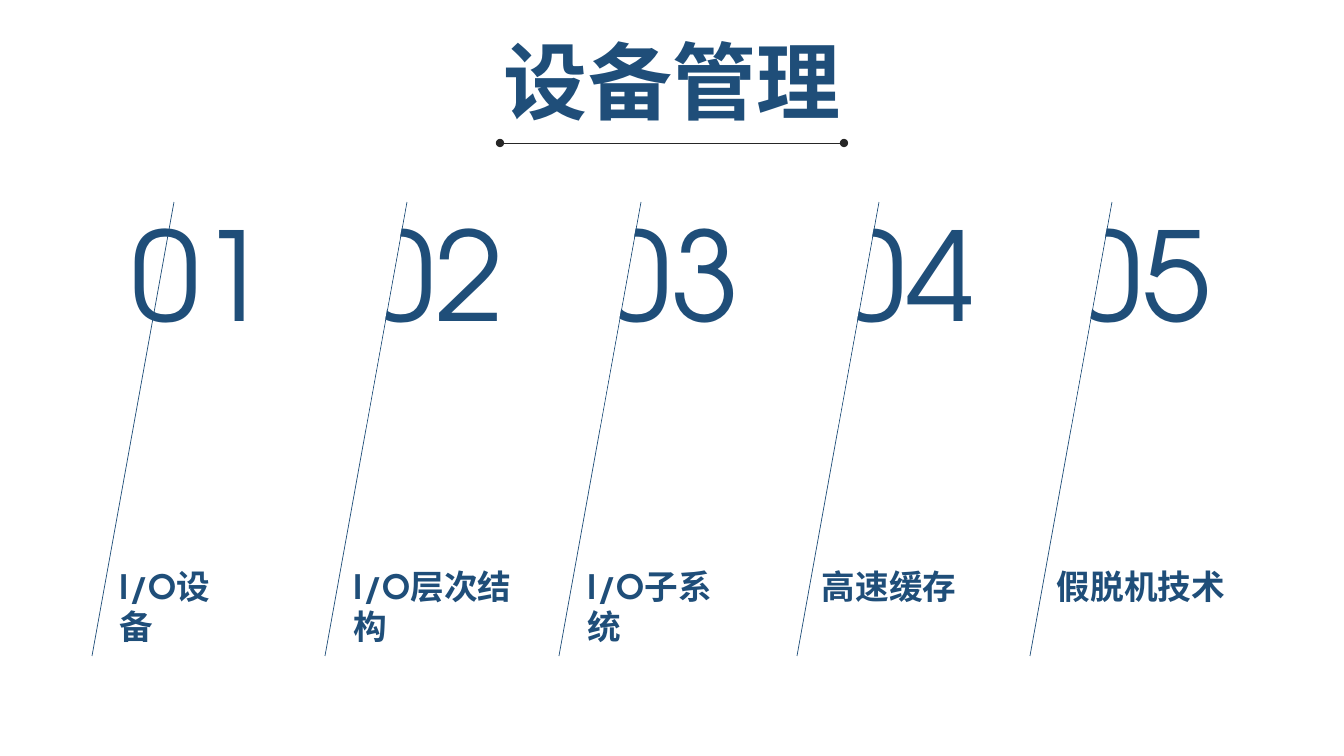
from lxml import etree
from pptx import Presentation
from pptx import util as u
from pptx.dml.color import RGBColor
from pptx.enum import shapes, text
from pptx.oxml import ns

COLOURS = {"navy": "1F4E79", "ink": "262626", "white": "FFFFFF"}
EMU_PER_PX = 914400 / 100.8
TOPICS = [
    ("I/O设备", 142, 174),
    ("I/O层次结构", 210, 407),
    ("I/O子系统", 175, 641),
    ("高速缓存", 156, 879),
    ("假脱机技术", 190, 1112),
]


def px(length):
    return u.Emu(round(length * EMU_PER_PX))


def colour(name):
    return RGBColor.from_string(COLOURS[name])


class Slide:
    """Draws styled elements on one page, with lengths in px."""

    font = "TeX Gyre Adventor"

    def __init__(self, page):
        self.page = page

    def add_words(self, words, *, left, top, width, height, size, bold=False, align=None):
        box = self.page.shapes.add_textbox(px(left), px(top), px(width), px(height))
        frame = box.text_frame
        frame.word_wrap = True
        frame.auto_size = text.MSO_AUTO_SIZE.SHAPE_TO_FIT_TEXT
        para = frame.paragraphs[0]
        para.alignment = align
        span = para.add_run()
        span.text = words
        span.font.name = self.font
        span.font.size = u.Pt(size)
        span.font.bold = bold
        span.font.color.rgb = colour("navy")

    def add_line(self, start, end, *, ink, parent=None, dots=False):
        owner = parent or self.page
        connector = owner.shapes.add_connector(
            shapes.MSO_CONNECTOR.STRAIGHT, *map(px, start + end))
        connector.line.color.rgb = colour(ink)
        connector.line.width = u.Pt(0.5)
        properties = connector._element.spPr
        if dots:
            stroke = properties.find(ns.qn("a:ln"))
            for tag in ("a:headEnd", "a:tailEnd"):
                etree.SubElement(stroke, ns.qn(tag), type="oval")
        etree.SubElement(properties, ns.qn("a:effectLst"))

    def add_cover(self, parent, *, left, top, width, height, turn):
        panel = parent.shapes.add_shape(
            shapes.MSO_SHAPE.RECTANGLE, px(left), px(top), px(width), px(height))
        panel.rotation = turn
        panel.shadow.inherit = False
        panel.fill.solid()
        panel.fill.fore_color.rgb = colour("white")
        panel.line.fill.background()

    def add_divider(self, top_x, covered):
        group = self.page.shapes.add_group_shape()
        self.add_line((top_x, 202), (top_x - 82, 656), ink="navy", parent=group)
        if covered:
            self.add_cover(group, left=top_x - 95, top=132, width=80, height=292, turn=10.2)


def main():
    deck = Presentation()
    deck.slide_width, deck.slide_height = px(1344), px(756)
    slide = Slide(deck.slides.add_slide(deck.slide_layouts[6]))

    for index in range(len(TOPICS)):
        slide.add_words(f"{index + 1:02}", left=122 + 942 * index // 4, top=193,
                        width=158, height=159, size=88)
    for index, (_, _, top_x) in enumerate(TOPICS):
        slide.add_divider(top_x, covered=index > 0)
    for index, (label, width, _) in enumerate(TOPICS):
        slide.add_words(label, left=110 + 937 * index // 4, top=561,
                        width=width, height=50, size=24, bold=True)

    slide.add_words("设备管理", left=0, top=25, width=1344, height=112, size=60,
                    bold=True, align=text.PP_ALIGN.CENTER)
    slide.add_line((500, 143), (844, 143), ink="ink", dots=True)
    deck.save("out.pptx")


if __name__ == "__main__":
    main()
